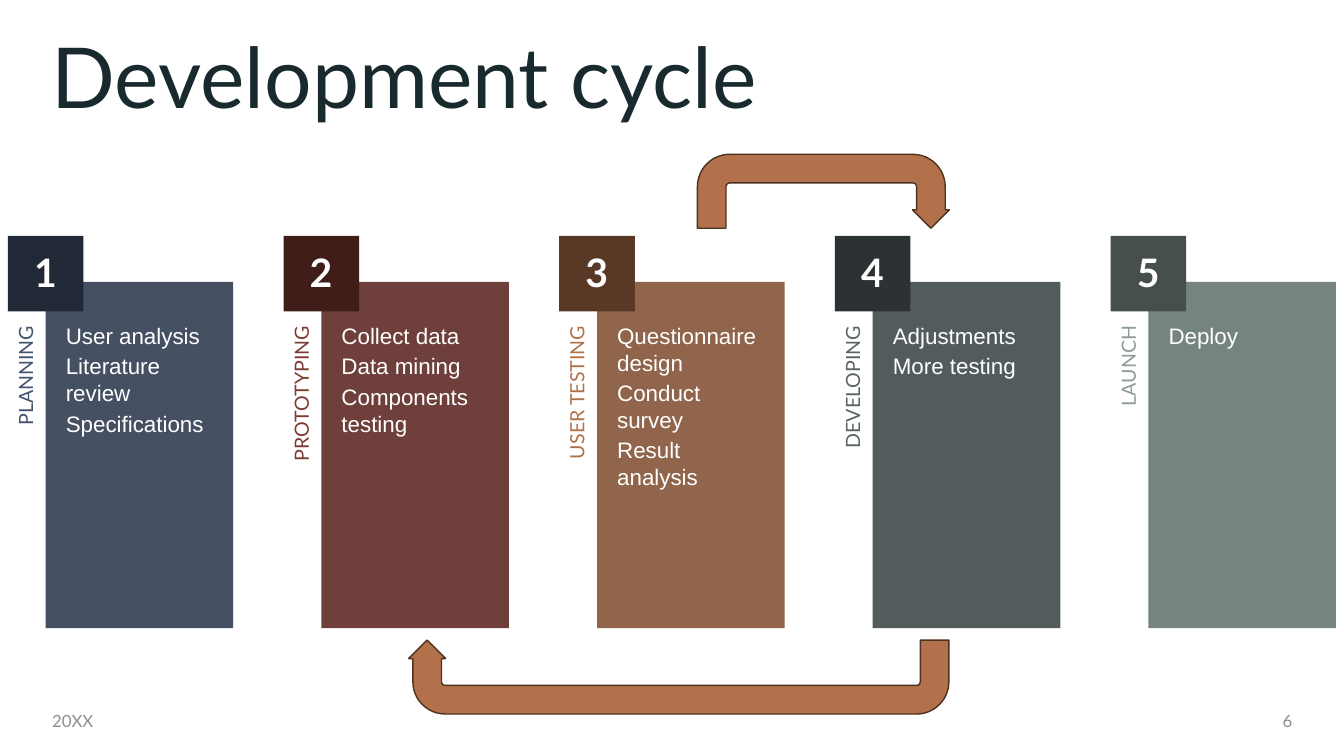
import pptx
import pptx.util
import pptx.dml.color
import pptx.enum.shapes
import pptx.enum.text
import pptx.oxml.ns
import lxml.etree

Pt = pptx.util.Pt
RGB = pptx.dml.color.RGBColor.from_string
SHAPE = pptx.enum.shapes.MSO_SHAPE
ALIGN = pptx.enum.text.PP_ALIGN
ANCHOR = pptx.enum.text.MSO_ANCHOR
FIT = pptx.enum.text.MSO_AUTO_SIZE

COLORS = {"title": "192A2E", "white": "FFFFFF", "grey": "8C8E8F",
          "arrow": "B2714B", "edge": "4E3221"}

# label, items, label colour, panel colour, badge colour
STAGES = [
    ("PLANNING", ["User analysis", "Literature review", "Specifications"],
     "41536D", "313E52", "212936"),
    ("PROTOTYPING", ["Collect data", "Data mining", "Components testing"],
     "7F3A33", "5F2B26", "401D19"),
    ("USER TESTING", ["Questionnaire design", "Conduct survey", "Result analysis"],
     "B2714B", "855538", "593826"),
    ("DEVELOPING", ["Adjustments", "More testing"],
     "576466", "414B4C", "2C3233"),
    ("LAUNCH", ["Deploy"],
     "8D9C95", "687770", "454F4B"),
]

deck = pptx.Presentation()
deck.slide_width, deck.slide_height = Pt(960), Pt(540)
slide = deck.slides.add_slide(deck.slide_layouts[5])
shapes = slide.shapes


def block(kind, box, color):
    """Add a filled preset shape without line or shadow."""
    shape = shapes.add_shape(kind, *map(Pt, box))
    shape.shadow.inherit = False
    shape.fill.solid()
    shape.fill.fore_color.rgb = RGB(color)
    shape.line.fill.background()
    return shape


def write(shape, text, size, color, font="Lato", align=ALIGN.LEFT, anchor=ANCHOR.TOP):
    """Fill a shape with wrapped text in one style and return its frame."""
    frame = shape.text_frame
    frame.text = text
    frame.word_wrap = True
    frame.auto_size = FIT.NONE
    frame.vertical_anchor = anchor
    for para in frame.paragraphs:
        para.alignment = align
        para.font.name = font
        para.font.size = Pt(size)
        para.font.color.rgb = RGB(color)
    return frame


title = shapes.title
title.left, title.top, title.width, title.height = map(Pt, (29.5, 22.3, 838, 106.6))
frame = write(title, "Development cycle", 60, COLORS["title"])
frame.paragraphs[0].line_spacing = 0.9

for i, (name, items, tint, fill, dark) in enumerate(STAGES):
    left = 5.6 + i * 196.92

    label = shapes.add_textbox(*map(Pt, (left - 120, 324, 267, 26.6)))
    label.rotation = 270
    frame = write(label, name, 14, tint, align=ALIGN.RIGHT, anchor=ANCHOR.MIDDLE)
    frame.margin_left = frame.margin_top = frame.margin_bottom = 0
    frame.margin_right = Pt(28.8)
    frame.paragraphs[0].line_spacing = 0.9

    box = (left + 27, 201.4, 134, 247.2)
    panel = block(SHAPE.RECTANGLE, box, fill)
    tone = panel.fill._xPr.find(".//" + pptx.oxml.ns.qn("a:srgbClr"))
    lxml.etree.SubElement(tone, pptx.oxml.ns.qn("a:alpha"), val="90000")

    tasks = shapes.add_textbox(*map(Pt, box))
    frame = write(tasks, "\n".join(items), 16, COLORS["white"], font="Arial")
    frame.margin_left = frame.margin_right = frame.margin_bottom = Pt(14.4)
    frame.margin_top = Pt(28.8)
    for para in frame.paragraphs:
        para.space_after = Pt(2.4)

    block(SHAPE.RECTANGLE, (left, 168.4, 54, 54), dark)
    digit = shapes.add_textbox(*map(Pt, (left + 3.4, 174.2, 46.8, 41)))
    frame = write(digit, str(i + 1), 28, COLORS["white"], align=ALIGN.CENTER)
    frame.auto_size = FIT.SHAPE_TO_FIT_TEXT
    frame.paragraphs[0].font.bold = True

for text, left, width, align in [("20XX", 30.2, 216, ALIGN.LEFT),
                                 ("6", 843.8, 86.4, ALIGN.RIGHT)]:
    foot = shapes.add_textbox(*map(Pt, (left, 500.4, width, 28.8)))
    write(foot, text, 12, COLORS["grey"], align=align, anchor=ANCHOR.MIDDLE)

for left, top, width, turn in [(498.2, 110.2, 180, 0), (291.9, 457.2, 385.9, 180)]:
    arrow = block(SHAPE.U_TURN_ARROW, (left, top, width, 52.8), COLORS["arrow"])
    arrow.rotation = turn
    arrow.line.color.rgb = RGB(COLORS["edge"])
    arrow.line.width = Pt(1)
    for k, value in enumerate((0.387, 0.25, 0.25, 0.438, 1)):
        arrow.adjustments[k] = value

deck.save("out.pptx")
